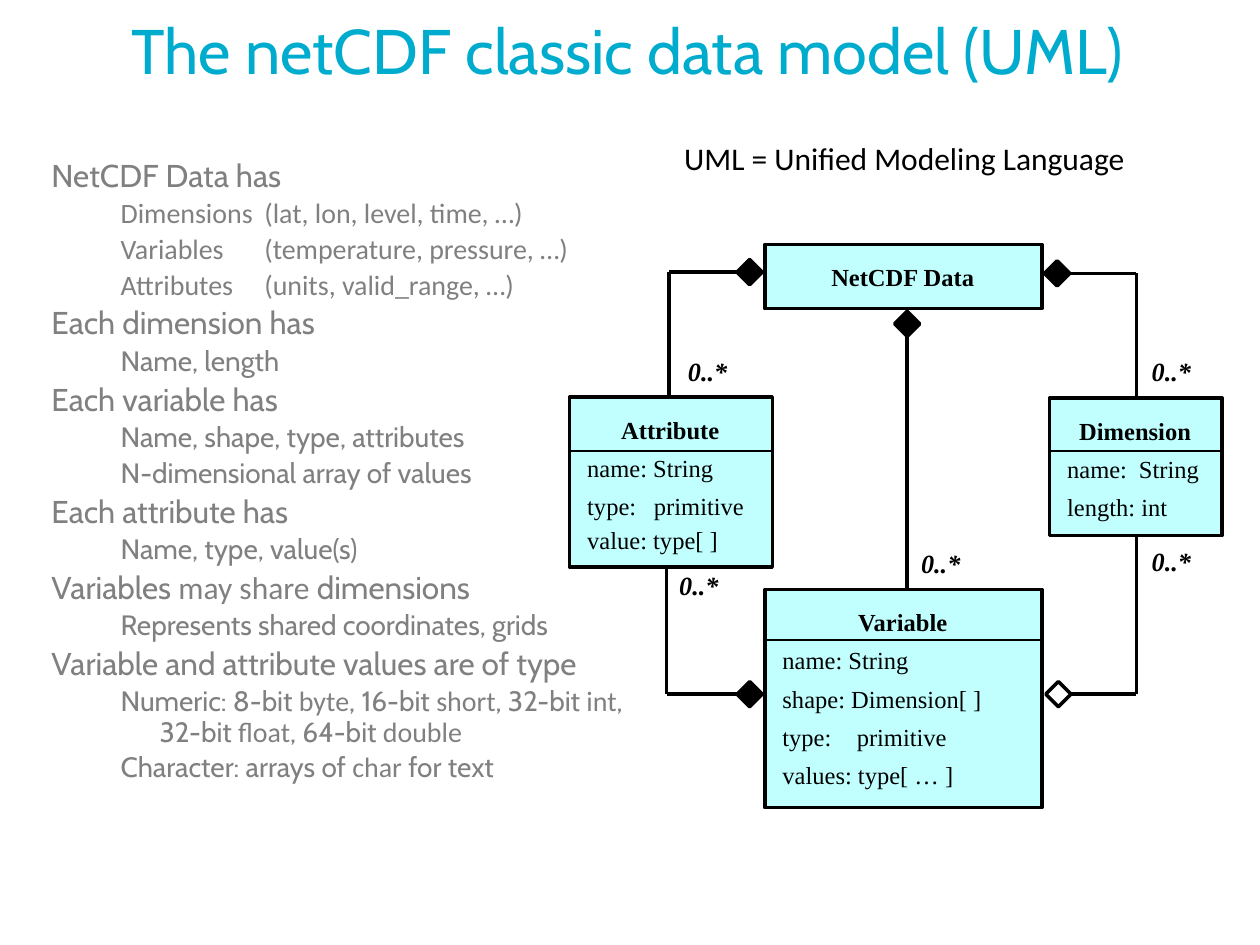
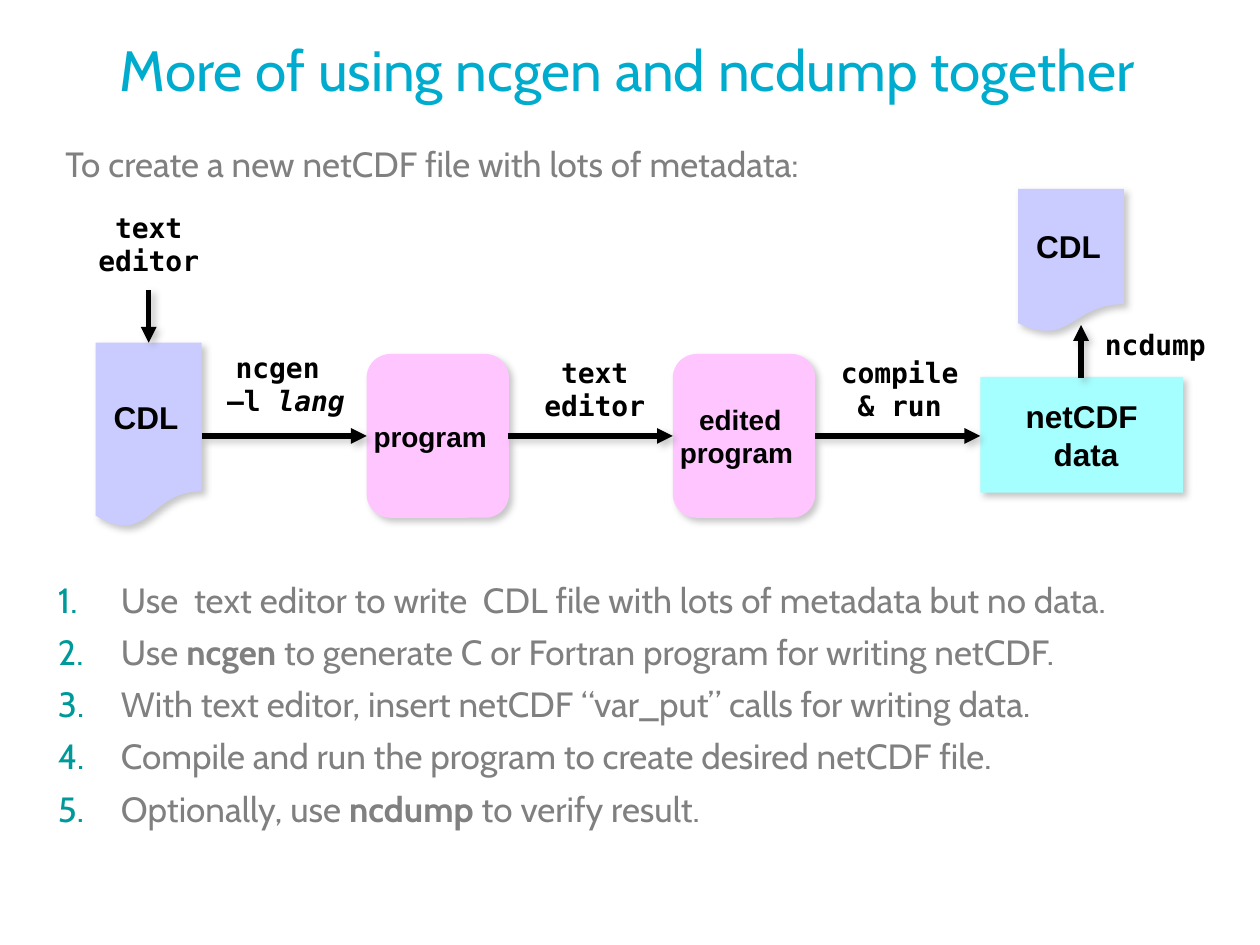
from dataclasses import dataclass
from typing import NamedTuple, Optional

from lxml.etree import SubElement
from pptx import Presentation
from pptx.dml.color import RGBColor
from pptx.enum.shapes import MSO_CONNECTOR, MSO_SHAPE
from pptx.enum.text import MSO_ANCHOR, PP_ALIGN
from pptx.oxml.ns import qn
from pptx.util import Inches, Pt

BLACK, WHITE, GRAY = "000000", "FFFFFF", "808080"
TITLE_BLUE, NUMBER_TEAL = "00ACCE", "009999"
CLASS_CYAN, DATA_CYAN, CDL_LILAC, PROGRAM_PINK = "C1FFFF", "A5FFFF", "CACBFF", "FFC5FF"
SANS, BODY, SERIF, MONO, ARIAL = "Cabin", "Calibri", "Times New Roman", "DejaVu Sans Mono", "Arial"
BODY_INSETS = (0.1, 0.05, 0.14, 0.05)
LABEL_INSETS = (0.04, 0, 0.04, 0)


@dataclass(frozen=True)
class Para:
    """A paragraph; text between bars takes the alternate run format."""
    text: str
    size: Optional[float] = None
    align: Optional[PP_ALIGN] = None
    left: float = 0
    first: float = 0
    lines: Optional[float] = None
    before: float = 0
    bold: Optional[bool] = None
    numbered: bool = False


class Box(NamedTuple):
    """A rectangle in inches."""
    x: float
    y: float
    w: float
    h: float

    def lengths(self) -> list:
        """Return the rectangle as lengths."""
        return [Inches(v) for v in self]


class UmlClass(NamedTuple):
    """A class of the diagram with its name rule and attributes."""
    name: str
    box: Box
    rule_y: float
    attributes: list


class Step(NamedTuple):
    """A shape of the workflow."""
    kind: MSO_SHAPE
    box: Box
    fill: str
    text: str
    size: float
    insets: tuple = (0, 0, 0, 0)


def rgb(color: str) -> RGBColor:
    """Turn a hex string into a colour."""
    return RGBColor.from_string(color)


def put_text(tf, paras, *, size=16, font=SANS, color=GRAY, bold=False, italic=False,
             align=PP_ALIGN.LEFT, anchor=MSO_ANCHOR.TOP, insets=BODY_INSETS, wrap=True, alt=None):
    """Write paragraphs into a text frame."""
    tf.word_wrap, tf.vertical_anchor = wrap, anchor
    tf.margin_left, tf.margin_top, tf.margin_right, tf.margin_bottom = map(Inches, insets)
    for i, item in enumerate([paras] if isinstance(paras, str) else paras):
        para = Para(item) if isinstance(item, str) else item
        p = tf.paragraphs[0] if i == 0 else tf.add_paragraph()
        p.alignment = align if para.align is None else para.align
        p.space_before = Pt(para.before)
        if para.lines:
            p.line_spacing = para.lines
        pPr = p._p.get_or_add_pPr()
        pPr.set("marL", str(Inches(para.left)))
        pPr.set("indent", str(Inches(para.first)))
        if para.numbered:
            SubElement(SubElement(pPr, qn("a:buClr")), qn("a:srgbClr"), val=NUMBER_TEAL)
            SubElement(pPr, qn("a:buAutoNum"), type="arabicPeriod")
        for j, part in enumerate(para.text.split("|")):
            if not part:
                continue
            style = dict(font=font, bold=bold if para.bold is None else para.bold, italic=italic)
            if j % 2:
                style.update(alt or {})
            r = p.add_run()
            r.text = part
            r.font.name, r.font.size = style["font"], Pt(para.size or size)
            r.font.bold, r.font.italic = style["bold"], style["italic"]
            r.font.color.rgb = rgb(color)


def add_text(s, box: Box, paras, **fmt):
    """Add a text box."""
    put_text(s.shapes.add_textbox(*box.lengths()).text_frame, paras, **fmt)


def add_title(s, box: Box, text: str, size: float):
    """Add the slide title."""
    add_text(s, box, text, size=size, color=TITLE_BLUE, align=PP_ALIGN.CENTER,
             anchor=MSO_ANCHOR.MIDDLE)


def add_shadow(sp):
    """Give a shape or connector a soft grey shadow."""
    effects = sp._element.spPr.find(qn("a:effectLst"))
    shadow = SubElement(effects, qn("a:outerShdw"), blurRad=str(Pt(4)), dist=str(Pt(3)),
                        dir="2700000", algn="ctr", rotWithShape="0")
    SubElement(SubElement(shadow, qn("a:srgbClr"), val=GRAY), qn("a:alpha"), val="43000")


def add_shape(s, kind: MSO_SHAPE, box: Box, fill: str, line: float = 0):
    """Add a filled shape, outlined in black if a line width is given."""
    sp = s.shapes.add_shape(kind, *box.lengths())
    sp.shadow.inherit = False
    sp.fill.solid()
    sp.fill.fore_color.rgb = rgb(fill)
    if line:
        sp.line.color.rgb, sp.line.width = rgb(BLACK), Pt(line)
    else:
        sp.line.fill.background()
    return sp


def add_line(s, start: tuple, end: tuple, width: float = 2):
    """Add a straight black connector."""
    c = s.shapes.add_connector(MSO_CONNECTOR.STRAIGHT, *map(Inches, start + end))
    c.line.color.rgb, c.line.width = rgb(BLACK), Pt(width)
    SubElement(c._element.spPr, qn("a:effectLst"))
    return c


def add_arrow(s, start: tuple, end: tuple):
    """Add a thick arrow with a shadow."""
    c = add_line(s, start, end, 3)
    SubElement(c.line._get_or_add_ln(), qn("a:tailEnd"), type="triangle")
    add_shadow(c)


def add_uml_class(s, uml: UmlClass):
    """Draw a class box with its name, rule and attributes."""
    x, y, w, h = uml.box
    add_shape(s, MSO_SHAPE.RECTANGLE, uml.box, CLASS_CYAN, 2)
    name = Para(uml.name, align=PP_ALIGN.CENTER, left=0.04, lines=1.3, bold=True)
    add_text(s, Box(x, y + 0.07, w, h - 0.1), [name, *uml.attributes], size=14, font=SERIF,
             color=BLACK, insets=(0, 0, 0.05, 0))
    add_line(s, (x, uml.rule_y), (x + w, uml.rule_y), 1)


def attribute(text: str, value_at: float = 0.14, lines: Optional[float] = 1.3,
              before: float = 0) -> Para:
    """Make a class attribute whose tabbed value starts at a given offset."""
    return Para(text, left=value_at, first=0.14 - value_at, lines=lines, before=before)


def topic(text: str) -> Para:
    """Make a first level line."""
    return Para(text, size=18, left=0.38, first=-0.38, lines=0.9, before=3.6)


def detail(text: str, left: float = 0.86) -> Para:
    """Make a second level line."""
    return Para(text, left=left, first=0.55 - left, lines=0.9, before=3.2)


def build_data_model(s):
    """Build the slide with the class diagram."""
    add_title(s, Box(0.5, 0, 9, 0.78), "The netCDF classic data model (UML)", 36)
    add_text(s, Box(0.31, 1.22, 5, 6.28), [
        topic("NetCDF Data has"),
        detail("|Dimensions\t(lat, lon, level, time, …)", 1.69),
        detail("|Variables\t(temperature, pressure, …)", 1.69),
        detail("|Attributes\t(units, valid_range, …)", 1.69),
        topic("Each dimension has"),
        detail("Name, length"),
        topic("Each variable has"),
        detail("Name, shape, type, attributes"),
        detail("N-dimensional array of values"),
        topic("Each attribute has"),
        detail("Name, type, value(s)"),
        topic("Variables |may share |dimensions"),
        detail("Represents shared coordinates, grids"),
        topic("Variable and attribute values are of type"),
        detail("Numeric: 8-bit |byte|, 16-bit |short|, 32-bit |int|, 32-bit |float|, 64-bit |double"),
        detail("Character: arrays of |char |for text"),
    ], alt=dict(font=BODY))
    add_text(s, Box(5.39, 1.1, 3.82, 0.42), "UML = Unified Modeling Language", size=18, font=BODY,
             color=BLACK, insets=LABEL_INSETS)

    for path in (
        [(5.85, 2.16), (5.31, 2.16), (5.31, 3.15)],
        [(8.49, 2.17), (9.02, 2.17), (9.02, 3.16)],
        [(7.2, 2.66), (7.2, 4.68)],
        [(5.85, 5.51), (5.29, 5.51), (5.29, 4.5)],
        [(8.49, 5.51), (9.02, 5.51), (9.02, 4.25)],
    ):
        for start, end in zip(path, path[1:]):
            add_line(s, start, end)
    for x, y, fill in ((5.85, 2.06, BLACK), (8.29, 2.07, BLACK), (7.1, 2.47, BLACK),
                       (5.85, 5.41, BLACK), (8.3, 5.41, WHITE)):
        add_shape(s, MSO_SHAPE.DIAMOND, Box(x, y, 0.2, 0.2), fill, 2)

    root = add_shape(s, MSO_SHAPE.RECTANGLE, Box(6.07, 1.94, 2.2, 0.51), CLASS_CYAN, 2)
    put_text(root.text_frame, "NetCDF Data", size=14, font=SERIF, color=BLACK, bold=True,
             align=PP_ALIGN.CENTER, anchor=MSO_ANCHOR.MIDDLE, insets=(0.04, 0, 0.05, 0))
    for uml in (
        UmlClass("Attribute", Box(4.52, 3.15, 1.61, 1.35), 3.58, [
            attribute("name: String"), attribute("type:\tprimitive", 0.67),
            attribute("value: type[ ]", lines=None, before=2.8)]),
        UmlClass("Variable", Box(6.07, 4.68, 2.2, 1.73), 5.08, [
            attribute("name: String"), attribute("shape: Dimension[ ]"),
            attribute("type:\tprimitive", 0.73), attribute("values: type[ … ]")]),
        UmlClass("Dimension", Box(8.33, 3.16, 1.37, 1.09), 3.58, [
            attribute("name:\tString", 0.71), attribute("length: int")]),
    ):
        add_uml_class(s, uml)
    for x, y in ((5.42, 2.82), (9.1, 2.82), (5.35, 4.52), (7.27, 4.34), (9.1, 4.33)):
        add_text(s, Box(x, y, 0.48, 0.25), "0..*", size=15, font=SERIF, color=BLACK, bold=True,
                 italic=True, insets=LABEL_INSETS, wrap=False)


def build_workflow(s):
    """Build the slide with the ncgen and ncdump workflow."""
    add_title(s, Box(0.46, 0.17, 9.08, 0.75), "More of using ncgen and ncdump together", 32.4)
    add_text(s, Box(0.42, 1.08, 9.25, 0.67), "To create a new netCDF file with lots of metadata:",
             size=20)

    program_insets = (0.04, 0.04, 0.1, 0.04)
    for step in (
        Step(MSO_SHAPE.RECTANGLE, Box(7.78, 2.99, 1.61, 0.92), DATA_CYAN, "netCDF\n data", 18),
        Step(MSO_SHAPE.ROUNDED_RECTANGLE, Box(2.91, 2.81, 1.13, 1.3), PROGRAM_PINK,
             "program ", 16, program_insets),
        Step(MSO_SHAPE.ROUNDED_RECTANGLE, Box(5.34, 2.81, 1.13, 1.3), PROGRAM_PINK,
             "edited\nprogram ", 16, program_insets),
    ):
        sp = add_shape(s, step.kind, step.box, step.fill)
        add_shadow(sp)
        put_text(sp.text_frame, step.text.split("\n"), size=step.size, font=ARIAL, color=BLACK,
                 bold=True, align=PP_ALIGN.CENTER, anchor=MSO_ANCHOR.MIDDLE, insets=step.insets,
                 wrap=False)
    for x, y, h in ((0.76, 2.72, 1.47), (8.08, 1.5, 1.14)):
        add_shadow(add_shape(s, MSO_SHAPE.FLOWCHART_DOCUMENT, Box(x, y, 0.84, h), CDL_LILAC))
        add_text(s, Box(x, y + 0.4 * h - 0.18, 0.84, 0.36), "CDL", size=18, font=ARIAL,
                 color=BLACK, bold=True, align=PP_ALIGN.CENTER, anchor=MSO_ANCHOR.MIDDLE,
                 insets=(0, 0, 0.04, 0))

    for start, end in (((1.6, 3.46), (2.91, 3.46)), ((4.03, 3.46), (5.34, 3.46)),
                       ((6.47, 3.46), (7.78, 3.46)), ((1.18, 2.3), (1.18, 2.72)),
                       ((8.58, 3), (8.58, 2.58))):
        add_arrow(s, start, end)
    for x, y, lines in ((0.57, 1.67, ["text", "editor"]), (1.66, 2.78, ["ncgen ", "–l |lang"]),
                        (4.11, 2.82, ["text", "editor"]), (6.53, 2.82, ["compile", "& run"]),
                        (8.56, 2.6, ["ncdump"])):
        add_text(s, Box(x, y, 1.22, 0.32 * len(lines)), lines, size=16, font=MONO, color=BLACK,
                 bold=True, align=PP_ALIGN.CENTER, insets=LABEL_INSETS, alt=dict(italic=True))

    steps = (
        "Use  text editor to write  CDL file with lots of metadata but no data.",
        "Use |ncgen| to generate C or Fortran program for writing netCDF.",
        "With text editor, insert netCDF “var_put” calls for writing data.",
        "Compile and run the program to create desired netCDF file.",
        "Optionally, use |ncdump| to verify result.",
    )
    add_text(s, Box(0.42, 4.59, 9.08, 2.16),
             [Para(text, left=0.54, first=-0.5, before=5.8, numbered=True) for text in steps],
             size=20, insets=(0, 0, 0.04, 0), alt=dict(bold=True))


def main():
    """Build and save the presentation."""
    prs = Presentation()
    prs.slide_width, prs.slide_height = Inches(10), Inches(7.5)
    for build in (build_data_model, build_workflow):
        build(prs.slides.add_slide(prs.slide_layouts[6]))
    prs.save("out.pptx")


if __name__ == "__main__":
    main()
